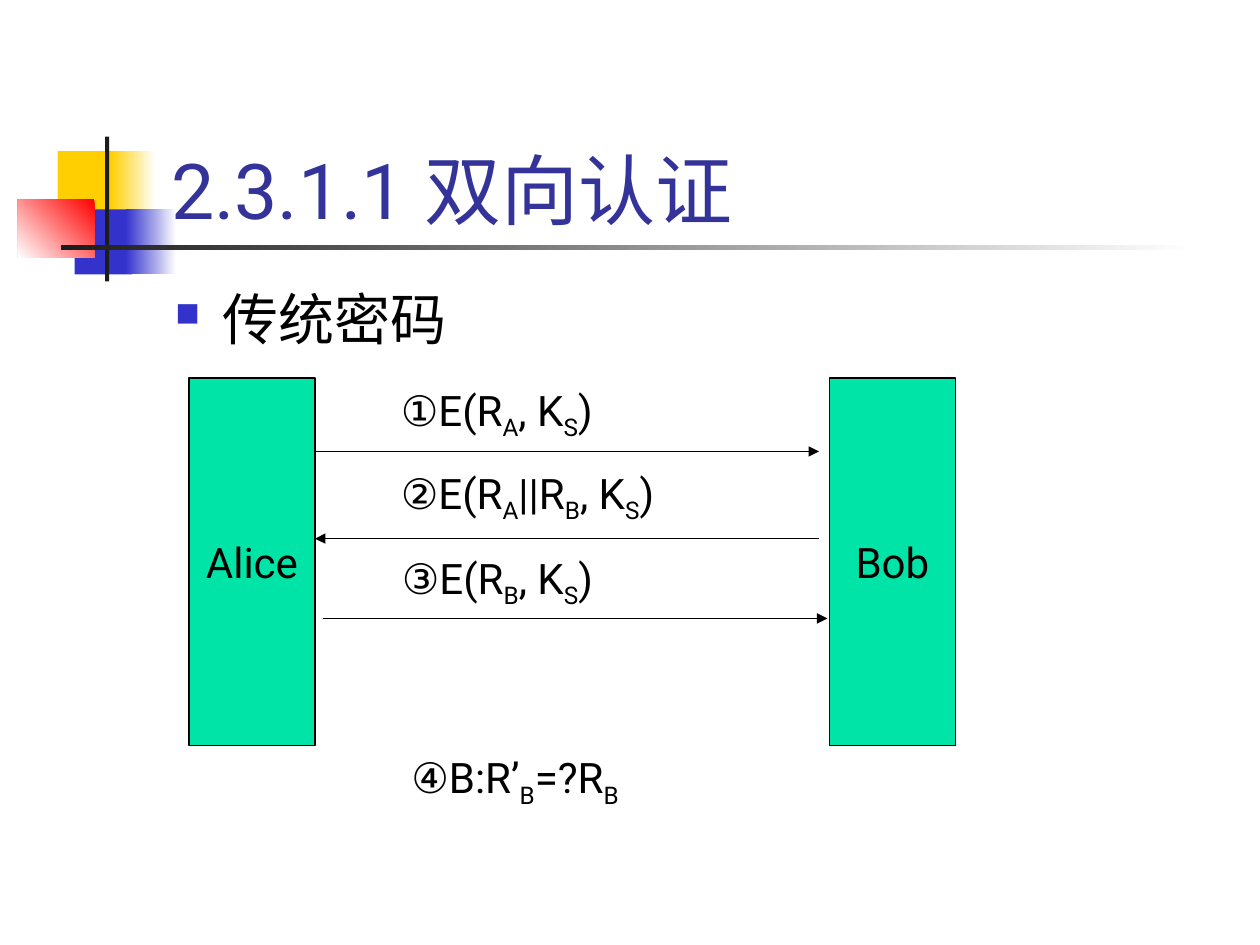
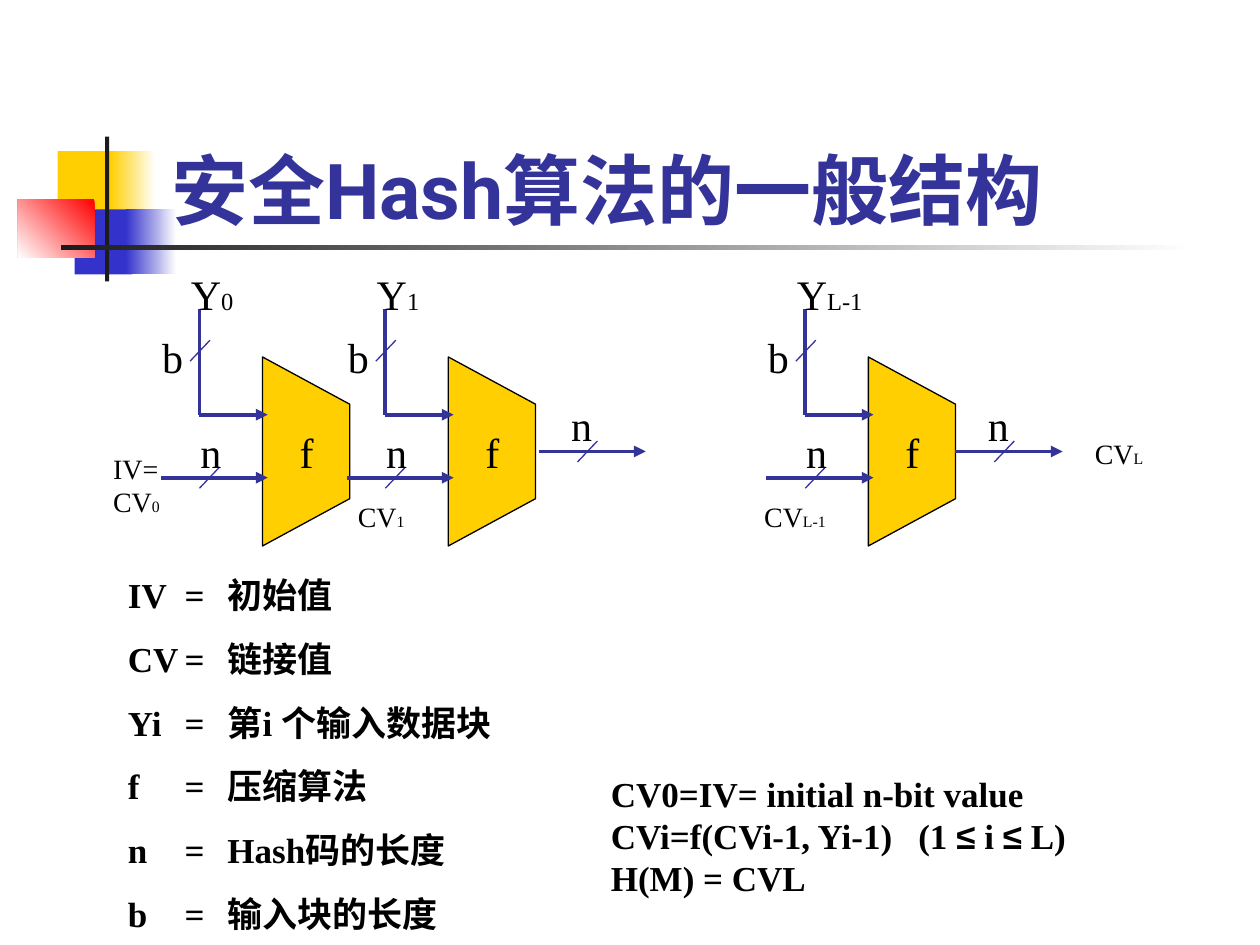
"""Build two slides on mutual authentication and the general structure of a secure hash."""
from lxml.etree import SubElement
from pptx import Presentation
from pptx.dml.color import RGBColor
from pptx.enum.shapes import MSO_CONNECTOR, MSO_SHAPE
from pptx.enum.text import MSO_ANCHOR, MSO_AUTO_SIZE, PP_ALIGN
from pptx.oxml.ns import qn
from pptx.util import Inches, Pt

COLORS = {
    "white": "FFFFFF", "black": "000000", "gold": "FFCF01", "blue": "3333CC",
    "red": "FF0000", "dark": "1C1C1C", "navy": "333399", "green": "00E4A8",
}
RGB = {name: RGBColor.from_string(value) for name, value in COLORS.items()}
SANS, SERIF = "Roboto", "Times New Roman"
COLUMNS = 120

deck = Presentation()
deck.slide_width, deck.slide_height = Inches(10), Inches(7.5)
CELL = deck.slide_width // COLUMNS
layout = deck.slide_layouts[5]


def put_box(page, place, lines, font, size, odd=None, bold=False, wrap=True, fill=None, before=0, tabs=()):
    """Place text; spans at odd places between underscores take the odd format, or become subscripts."""
    left, top, width, height = [round(part * CELL) for part in place]
    if fill:
        box = page.shapes.add_shape(MSO_SHAPE.RECTANGLE, left, top, width, height)
        box.shadow.inherit = False
        box.fill.solid()
        box.fill.fore_color.rgb = RGB[fill]
        box.line.color.rgb = RGB["black"]
        box.line.width = Pt(0.75)
    else:
        box = page.shapes.add_textbox(left, top, width, height)
        box.text_frame.auto_size = MSO_AUTO_SIZE.SHAPE_TO_FIT_TEXT
    frame = box.text_frame
    frame.word_wrap = wrap
    for row, line in enumerate(lines):
        para = frame.add_paragraph() if row else frame.paragraphs[0]
        para.alignment = PP_ALIGN.CENTER if fill else PP_ALIGN.LEFT
        para.space_before = Pt(before)
        if tabs:
            stops = SubElement(para._p.get_or_add_pPr(), qn("a:tabLst"))
            for stop in tabs:
                SubElement(stops, qn("a:tab"), pos=str(Inches(stop)), algn="l")
        for index, text in enumerate(line.split("_")):
            if not text:
                continue
            span = para.add_run()
            span.text = text
            span.font.color.rgb = RGB["black"]
            look = {"name": font, "size": Pt(size), "bold": bold}
            if index % 2:
                look.update(odd or {})
                if not odd:
                    span._r.get_or_add_rPr().set("baseline", "-25000")
            for key, value in look.items():
                setattr(span.font, key, value)
    return box


def draw_line(page, ends, color, width, arrow=False):
    """Draw a straight line between two grid points, with an arrowhead if asked."""
    line = page.shapes.add_connector(MSO_CONNECTOR.STRAIGHT, *[round(end * CELL) for end in ends])
    line.line.color.rgb = RGB[color]
    line.line.width = Pt(width)
    if arrow:
        SubElement(line.line._get_or_add_ln(), qn("a:tailEnd"), type="triangle")
    SubElement(line.element.spPr, qn("a:effectLst"))


pages = []
for heading, bold in (("2.3.1.1 双向认证", False), ("安全Hash算法的一般结构", True)):
    page = deck.slides.add_slide(layout)
    title = page.shapes.title
    place = {"left": 15.1, "top": 8, "width": 102.2, "height": 15}
    for key, value in place.items():
        setattr(title, key, round(value * CELL))
    title.text_frame.text = heading
    title.text_frame.auto_size = MSO_AUTO_SIZE.NONE
    title.text_frame.vertical_anchor = MSO_ANCHOR.BOTTOM
    para = title.text_frame.paragraphs[0]
    para.alignment = PP_ALIGN.LEFT
    for key, value in {"name": SANS, "size": Pt(44), "bold": bold}.items():
        setattr(para.runs[0].font, key, value)
    para.runs[0].font.color.rgb = RGB["navy"]
    pages.append(page)
authentication, hashing = pages

decorations = [
    ((5.5, 14.4, 5.8, 6.2), ("gold",), 0),
    ((10.5, 14.4, 4.3, 6.2), ("gold", "white"), 0),
    ((7.1, 19.95, 5.5, 6.2), ("blue",), 0),
    ((12, 19.95, 4.8, 6.2), ("blue", "white"), 0),
    ((1.7, 19, 7.3, 5.5), ("red", "white"), 225),
    ((10, 13, 0.4, 13.8), ("dark",), 0),
    ((5.8, 23.35, 108, 0.45), ("dark", "white"), 0),
]
for number, (place, shades, angle) in enumerate(decorations):
    band = authentication.shapes.add_shape(MSO_SHAPE.RECTANGLE, *[round(part * CELL) for part in place])
    band.shadow.inherit = False
    band.line.fill.background()
    if len(shades) == 1:
        band.fill.solid()
        band.fill.fore_color.rgb = RGB[shades[0]]
    else:
        band.fill.gradient()
        band.fill.gradient_angle = angle
        for stop, shade in zip(band.fill.gradient_stops, shades):
            stop.color.rgb = RGB[shade]
    band.element.nvSpPr.cNvPr.set("id", str(100 + number))
    layout.shapes.element.append(band.element)

topic = put_box(authentication, (15.5, 26.5, 102, 8), ["传统密码"], SANS, 32, before=8)
bullet = topic.text_frame.paragraphs[0]._p.get_or_add_pPr()
bullet.set("marL", str(Inches(0.38)))
bullet.set("indent", str(-Inches(0.38)))
SubElement(SubElement(bullet, qn("a:buClr")), qn("a:srgbClr"), val=COLORS["blue"])
SubElement(bullet, qn("a:buSzPct"), val="60000")
SubElement(bullet, qn("a:buChar"), char="■")

for party, left in (("Alice", 18), ("Bob", 79)):
    put_box(authentication, (left, 36, 12, 35), [party], SANS, 24, wrap=False, fill="green")
for ends in ((30, 43, 78, 43), (78, 51.3, 30, 51.3), (30.8, 58.9, 78.8, 58.9)):
    draw_line(authentication, ends, "black", 0.75, arrow=True)
messages = [
    (37, 36, "①E(R_A_, K_S_)"),
    (37, 43.9, "②E(R_A_||R_B_, K_S_)"),
    (37.1, 52, "③E(R_B_, K_S_)"),
    (38, 71, "④B:R’_B_=?R_B_"),
]
for left, top, message in messages:
    put_box(authentication, (left, top, 36.2, 6.7), [message], SANS, 24)

stages = [(25, "Y_0_", 7), (42.7, "Y_1_", 7), (82.7, "Y_L-1_", 9.5)]
for left, block, block_width in stages:
    corners = [(0, 52), (0, 34), (8.3, 38.5), (8.3, 47.5)]
    points = [(round((left + x) * CELL), round(y * CELL)) for x, y in corners]
    builder = hashing.shapes.build_freeform(*points[0])
    builder.add_line_segments(points[1:], close=True)
    compressor = builder.convert_to_shape()
    compressor.shadow.inherit = False
    compressor.fill.solid()
    compressor.fill.fore_color.rgb = RGB["gold"]
    compressor.line.color.rgb = RGB["black"]
    compressor.line.width = Pt(0.75)
    draw_line(hashing, (left - 6, 29.4, left - 6, 39.5), "navy", 2.25)
    draw_line(hashing, (left - 6, 39.5, left + 0.5, 39.5), "navy", 2.25, arrow=True)
    draw_line(hashing, (left - 5, 32.4, left - 6.9, 34.4), "navy", 0.75)
    for text, shift, top, width in (("b", -10.75, 31, 4.5), (block, -8, 25, block_width), ("f", 2.35, 40, 4)):
        put_box(hashing, (left + shift, top, width, 6), [text], SERIF, 24, {"size": Pt(14)}, wrap=False)

chain = [(15.3, 45.5, 2.6), (33, 45.5, 2.6), (73, 45.5, 2.6), (51.3, 43, 1.9), (91, 43, 1.9)]
for left, level, shift in chain:
    draw_line(hashing, (left, level, left + 10.2, level), "navy", 2.25, arrow=True)
    draw_line(hashing, (left + 3.7, level + 1, left + 5.6, level - 1), "navy", 0.75)
    put_box(hashing, (left + shift, level - 5.5, 4.5, 6), ["n"], SERIF, 24, wrap=False)

chain_values = [
    ((9.6, 42.4, 7.5, 7.7), ["IV=", "CV_0_"]),
    ((32.9, 47, 7.5, 4.4), ["CV_1_"]),
    ((71.6, 47, 9, 4.4), ["CV_L-1_"]),
    ((103.1, 41, 7.5, 4.4), ["CV_L_"]),
]
for place, lines in chain_values:
    put_box(hashing, place, lines, SERIF, 16, {"size": Pt(9)}, wrap=False)

legend = [
    "IV\t=\t初始值", "CV\t=\t链接值", "Yi\t=\t第i 个输入数据块",
    "f\t=\t压缩算法", "n\t=\tHash码的长度", "b\t=\t输入块的长度",
]
put_box(hashing, (11, 54, 39, 35.6), legend, SERIF, 20, bold=True, before=12.5, tabs=(0.45, 0.79))
formulas = ["CV0=IV= initial n-bit value", "CVi=f(CVi-1, Yi-1)\t(1 _≤_ i _≤_ L)", "H(M) = CVL"]
put_box(hashing, (57, 73, 60, 13.2), formulas, SERIF, 20, {"name": "Arial"}, bold=True, tabs=(2.44,))

deck.save("out.pptx")
